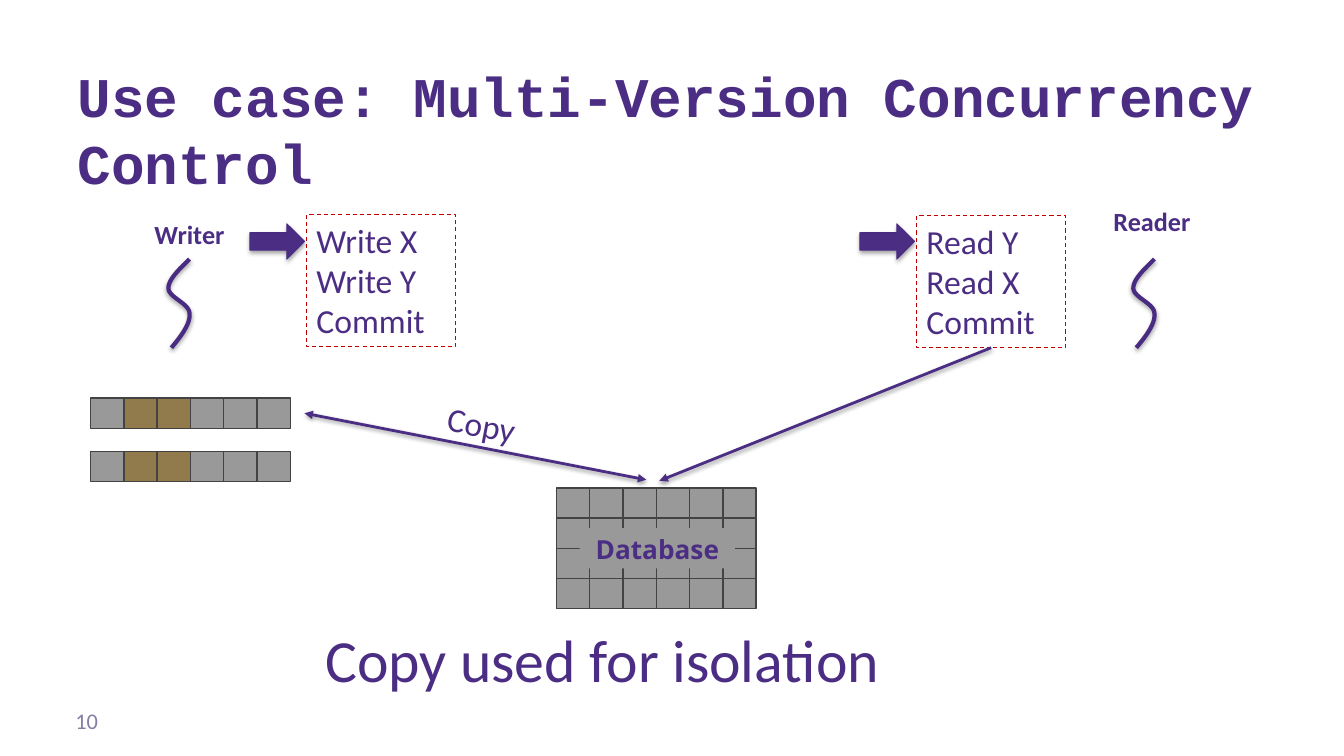
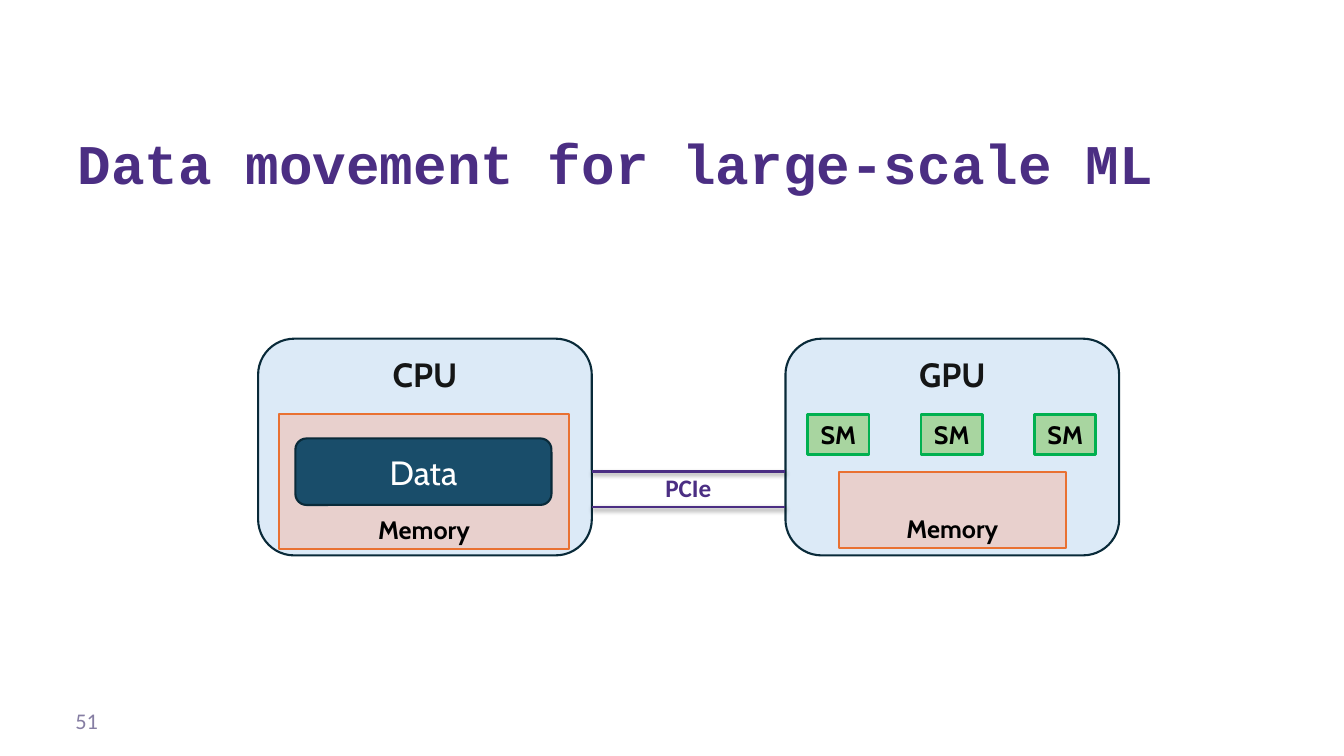
from dataclasses import dataclass
from typing import Any, NamedTuple, Optional

from lxml import etree
from pptx import Presentation
from pptx import util as u
from pptx.dml import color as hue
from pptx.enum import dml, shapes, text
from pptx.oxml import ns

Kind = shapes.MSO_SHAPE
Side = text.PP_ALIGN
Hold = text.MSO_ANCHOR


@dataclass(frozen=True)
class Theme:
    ink: str = "4B2E83"
    edge: str = "492B82"
    pale: str = "867EA3"
    gray: str = "999999"
    gold: str = "917B4C"
    grid: str = "434343"
    red: str = "C00000"
    sky: str = "DCEAF7"
    navy: str = "092A39"
    deep: str = "194D6A"
    pink: str = "F5B8A4"
    orange: str = "E97132"
    mint: str = "A8D5A0"
    green: str = "00B050"
    coal: str = "151616"
    black: str = "000000"
    white: str = "FFFFFF"
    code: str = "Courier New"
    sans: str = "Calibri"
    round: str = "Cabin"
    open: str = "Open Sans"
    head: float = 40
    claim: float = 42.7
    big: float = 24
    tag: float = 18.7
    small: float = 18
    page: float = 16


T = Theme()


class Box(NamedTuple):
    x: float
    y: float
    w: float
    h: float


class Font(NamedTuple):
    size: float
    face: str = T.sans
    tint: str = T.ink
    bold: bool = False


class Look(NamedTuple):
    fill: Optional[str] = None
    line: Optional[str] = None
    wide: float = 1
    kind: Any = Kind.RECTANGLE
    alpha: int = 100
    dash: bool = False


class Actor(NamedTuple):
    name: str
    tag: Box
    curl: float
    steps: list[str]
    box: Box
    arrow: float


class Chip(NamedTuple):
    name: str
    x: float
    store: Box


CELL = Look(T.gray, T.grid)
GOLD = Look(T.gold, T.grid)
PLAN = Look(None, T.red, 0.75, dash=True)
ARROW = Look(T.ink, T.edge, 0.75, Kind.RIGHT_ARROW)
CHIP = Look(T.sky, T.navy, 1.5, Kind.ROUNDED_RECTANGLE)
DATA = Look(T.deep, T.navy, 1.5, Kind.ROUNDED_RECTANGLE)
STORE = Look(T.pink, T.orange, 1.5, alpha=50)
CORE = Look(T.mint, T.green, 2)

ACTORS = [
    Actor("Writer", Box(1.43, 2.12, 0.9, 0.42), 1.67,
          ["Write X", "Write Y", "Commit"], Box(3.04, 2.13, 1.48, 1.31), 2.48),
    Actor("Reader", Box(10.94, 1.99, 0.97, 0.42), 11.24,
          ["Read Y", "Read X", "Commit"], Box(9.09, 2.14, 1.48, 1.31), 8.53),
]
CHIPS = [
    Chip("GPU", 7.79, Box(8.32, 4.68, 2.25, 0.76)),
    Chip("CPU", 2.56, Box(2.77, 4.11, 2.87, 1.34)),
]
CURL = [
    [(0.21, 0), (0.11, 0.1), (0, 0.2), (0, 0.29)],
    [(0, 0.29), (0, 0.38), (0.21, 0.44), (0.21, 0.54)],
    [(0.21, 0.54), (0.22, 0.64), (0.13, 0.76), (0.03, 0.88)],
]


def rgb(code: str) -> hue.RGBColor:
    return hue.RGBColor.from_string(code)


def shade(item: Any, alpha: int = 35, drop: int = 23000) -> None:
    props = item.element.spPr
    list_ = props.find(ns.qn("a:effectLst"))
    if list_ is None:
        list_ = etree.SubElement(props, ns.qn("a:effectLst"))
    cast = etree.SubElement(list_, ns.qn("a:outerShdw"), blurRad="40000",
                            dist=str(drop), dir="5400000", rotWithShape="0")
    tint = etree.SubElement(cast, ns.qn("a:srgbClr"), val=T.black)
    etree.SubElement(tint, ns.qn("a:alpha"), val=str(alpha * 1000))


def write(item: Any, lines: list[str], font: Font, side: Any = Side.LEFT,
          hold: Any = Hold.TOP, wrap: bool = True) -> None:
    frame = item.text_frame
    frame.word_wrap = wrap
    frame.vertical_anchor = hold
    for i, line in enumerate(lines):
        para = frame.add_paragraph() if i else frame.paragraphs[0]
        para.alignment = side
        run = para.add_run()
        run.text = line
        run.font.size = u.Pt(font.size)
        run.font.name = font.face
        run.font.bold = font.bold
        run.font.color.rgb = rgb(font.tint)


def label(slide: Any, box: Box, line: str, font: Font, side: Any = Side.LEFT,
          hold: Any = Hold.TOP, wrap: bool = True) -> Any:
    item = slide.shapes.add_textbox(*map(u.Inches, box))
    write(item, [line], font, side, hold, wrap)
    return item


def block(slide: Any, box: Box, look: Look) -> Any:
    item = slide.shapes.add_shape(look.kind, *map(u.Inches, box))
    item.shadow.inherit = False
    if look.fill:
        item.fill.solid()
        item.fill.fore_color.rgb = rgb(look.fill)
        if look.alpha < 100:
            tint = item.element.spPr.find(".//" + ns.qn("a:srgbClr"))
            etree.SubElement(tint, ns.qn("a:alpha"), val=str(look.alpha * 1000))
    else:
        item.fill.background()
    if look.line:
        item.line.color.rgb = rgb(look.line)
        item.line.width = u.Pt(look.wide)
        if look.dash:
            item.line.dash_style = dml.MSO_LINE.DASH
    else:
        item.line.fill.background()
    return item


def link(slide: Any, ends: tuple[float, float, float, float], *tips: str) -> Any:
    item = slide.shapes.add_connector(shapes.MSO_CONNECTOR.STRAIGHT,
                                      *map(u.Inches, ends))
    item.line.color.rgb = rgb(T.ink)
    item.line.width = u.Pt(2)
    for tip in tips:
        etree.SubElement(item.element.spPr.find(ns.qn("a:ln")),
                         ns.qn("a:" + tip), type="triangle")
    shade(item, 38, 20000)
    return item


def curve(slide: Any, x: float, y: float, steps: int = 12) -> None:
    dots = []
    for a, b, c, d in CURL:
        for i in range(steps + 1):
            t = i / steps
            s = 1 - t
            mix = (s ** 3, 3 * s * s * t, 3 * s * t * t, t ** 3)
            dots.append(tuple(
                u.Inches(base + sum(m * p[k] for m, p in zip(mix, (a, b, c, d))))
                for k, base in enumerate((x, y))))
    pen = slide.shapes.build_freeform(*dots[0], scale=1.0)
    pen.add_line_segments(dots[1:], close=False)
    item = pen.convert_to_shape()
    item.fill.background()
    item.line.color.rgb = rgb(T.edge)
    item.line.width = u.Pt(3)
    item.shadow.inherit = False
    shade(item)


def cells(slide: Any, x: float, y: float, rows: int = 1,
          gold: tuple[int, ...] = ()) -> None:
    for row in range(rows):
        for col in range(6):
            block(slide, Box(x + 0.33 * col, y + 0.3 * row, 0.33, 0.3),
                  GOLD if col in gold else CELL)


def start(deck: Any, title: str, page: int) -> Any:
    slide = deck.slides.add_slide(deck.slide_layouts[6])
    label(slide, Box(0.67, 0.54, 11.92, 1.45), title,
          Font(T.head, T.code, bold=True), hold=Hold.BOTTOM)
    label(slide, Box(0.65, 6.95, 3, 0.4), str(page),
          Font(T.page, tint=T.pale), hold=Hold.MIDDLE)
    return slide


def control(deck: Any) -> None:
    slide = start(deck, "Use case: Multi-Version Concurrency Control", 10)
    label(slide, Box(0, 6.13, 11.95, 0.63), "Copy used for isolation",
          Font(T.claim), Side.CENTER)
    cells(slide, 5.52, 4.84, rows=4)
    base = block(slide, Box(5.75, 5.24, 1.54, 0.4), Look(T.gray))
    write(base, ["Database"], Font(T.tag, T.open, bold=True), Side.CENTER)
    for y in (3.95, 4.48):
        cells(slide, 0.9, y, gold=(1, 2))
    plans = {}
    for who in ACTORS:
        label(slide, who.tag, who.name, Font(T.tag, bold=True), Side.CENTER,
              wrap=False)
        curve(slide, who.curl, 2.57)
        plans[who.name] = block(slide, who.box, PLAN)
        write(plans[who.name], who.steps, Font(T.big))
        shade(block(slide, Box(who.arrow, 2.22, 0.54, 0.35), ARROW))
    read = link(slide, (9.83, 3.45, 6.54, 4.77), "tailEnd")
    read.begin_connect(plans["Reader"], 2)
    link(slide, (6.41, 4.76, 3.02, 4.1), "headEnd", "tailEnd")
    copy = label(slide, Box(4.34, 3.96, 0.89, 0.5), "Copy", Font(T.big), wrap=False)
    copy.rotation = 10.9


def movement(deck: Any) -> None:
    slide = start(deck, "Data movement for large-scale ML", 51)
    mark = Font(T.small, T.round, T.black, True)
    for chip in CHIPS:
        case = block(slide, Box(chip.x, 3.36, 3.31, 2.15), CHIP)
        write(case, [chip.name], Font(T.big, T.round, T.coal, True), Side.CENTER)
        store = block(slide, chip.store, STORE)
        write(store, ["Memory"], mark, Side.CENTER, Hold.BOTTOM)
    for i in range(3):
        core = block(slide, Box(8.01 + 1.125 * i, 4.11, 0.61, 0.4), CORE)
        write(core, ["SM"], mark, Side.CENTER, Hold.MIDDLE)
    data = block(slide, Box(2.93, 4.35, 2.54, 0.66), DATA)
    write(data, ["Data"], Font(T.big, T.round, T.white), Side.CENTER, Hold.MIDDLE)
    for y in (4.68, 5.03):
        link(slide, (5.87, y, 7.79, y))
    label(slide, Box(6.5, 4.64, 0.66, 0.4), "PCIe", Font(T.small, bold=True),
          wrap=False)


def main() -> None:
    deck = Presentation()
    deck.slide_width = u.Inches(13.33)
    deck.slide_height = u.Inches(7.5)
    control(deck)
    movement(deck)
    deck.save("out.pptx")


if __name__ == "__main__":
    main()
